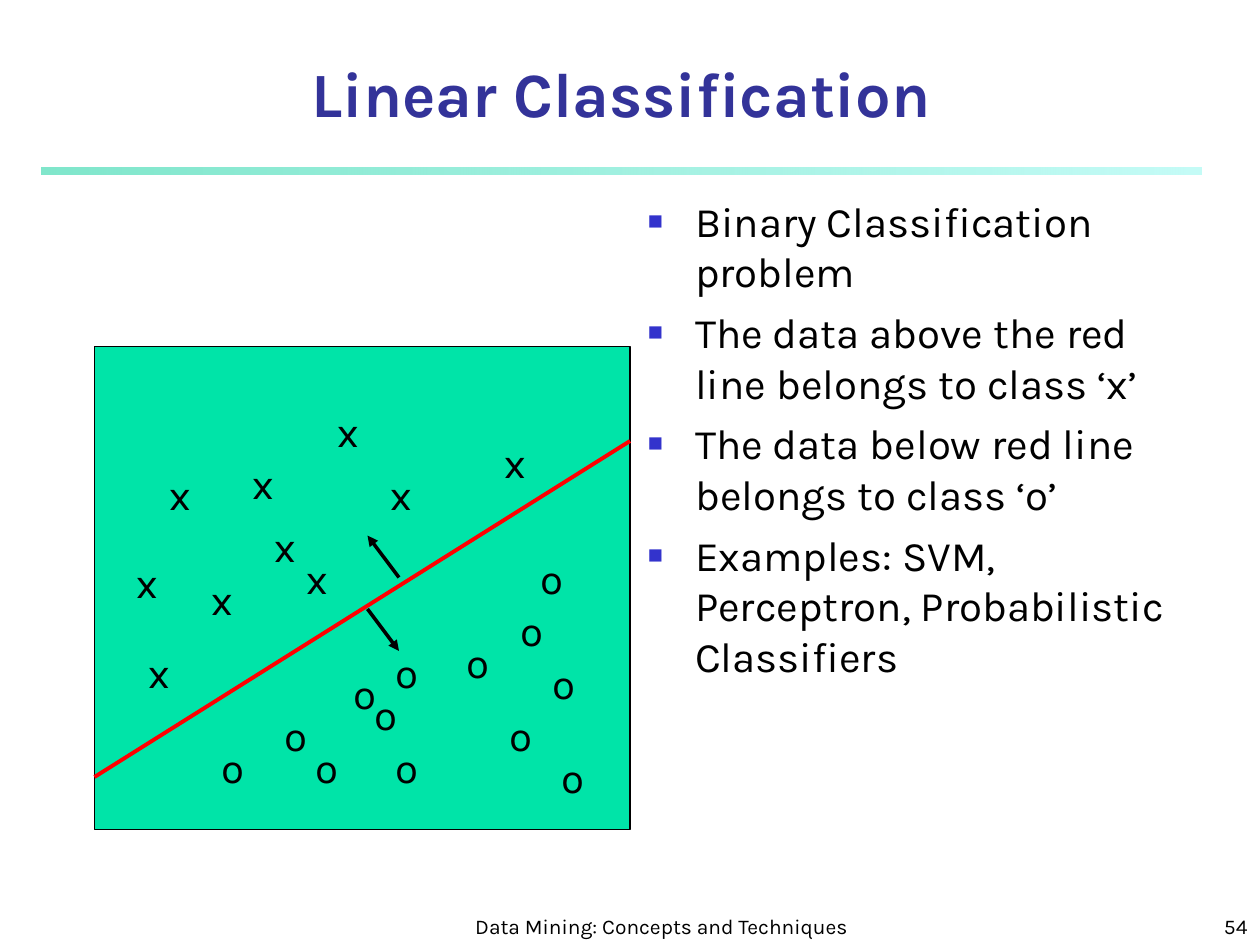
from typing import NamedTuple

from pptx import Presentation
from pptx.dml.color import RGBColor
from pptx.enum.shapes import MSO_CONNECTOR, MSO_SHAPE
from pptx.enum.text import MSO_ANCHOR, MSO_AUTO_SIZE, PP_ALIGN
from pptx.oxml.ns import qn
from pptx.util import Emu, Pt
from lxml.etree import SubElement

PX = 7620  # EMU per px, 120 px to the inch
FONT = "Karla"

BLACK = RGBColor(0x00, 0x00, 0x00)
NAVY = RGBColor(0x33, 0x33, 0x99)
BULLET_BLUE = RGBColor(0x33, 0x33, 0xCC)
RED = RGBColor(0xFF, 0x00, 0x00)
PANEL_GREEN = RGBColor(0x00, 0xE4, 0xA8)
RULE_START = RGBColor(0x00, 0xCE, 0x98)
RULE_END = RGBColor(0x8F, 0xF9, 0xEF)


class Box(NamedTuple):
    left: int
    top: int
    width: int
    height: int

    def emu(self) -> list[Emu]:
        return [Emu(value * PX) for value in self]


class Line(NamedTuple):
    start: tuple[int, int]
    end: tuple[int, int]
    color: RGBColor
    weight: float
    arrow: bool = False


class DataClass(NamedTuple):
    symbol: str
    width: int
    positions: list[tuple[int, int]]


BULLETS = [
    "Binary Classification problem",
    "The data above the red line belongs to class ‘x’",
    "The data below red line belongs to class ‘o’",
    "Examples: SVM, Perceptron, Probabilistic Classifiers",
]
MARK_HEIGHT = 60
DATA_CLASSES = [
    DataClass("x", 44, [
        (118, 524), (469, 410), (229, 430), (280, 520), (360, 440),
        (150, 440), (190, 540), (310, 380), (250, 490), (130, 610),
    ]),
    DataClass("o", 48, [
        (325, 630), (345, 650), (365, 610), (259, 670), (365, 700),
        (473, 670), (503, 520), (433, 600), (199, 700), (289, 700),
        (514, 620), (484, 570), (523, 710),
    ]),
]
BOUNDARY = Line((90, 740), (600, 420), RED, 2.25)
SIDE_ARROWS = [
    Line((380, 550), (350, 510), BLACK, 2, arrow=True),
    Line((350, 580), (380, 620), BLACK, 2, arrow=True),
]


def write_text(shape, *lines: str, size: int = 24, color: RGBColor = BLACK,
               bold: bool = False, align=PP_ALIGN.LEFT,
               anchor=MSO_ANCHOR.TOP, wrap: bool = True, space_before: int = 0):
    """Fill a shape with one paragraph per line, all in the same format."""
    frame = shape.text_frame
    frame.auto_size = MSO_AUTO_SIZE.NONE if wrap else MSO_AUTO_SIZE.SHAPE_TO_FIT_TEXT
    frame.word_wrap = wrap
    frame.vertical_anchor = anchor
    frame.text = "\n".join(lines)
    for paragraph in frame.paragraphs:
        paragraph.alignment = align
        paragraph.space_before = Pt(space_before)
        font = paragraph.runs[0].font
        font.name, font.size, font.bold = FONT, Pt(size), bold
        font.color.rgb = color


def move(shape, box: Box) -> None:
    shape.left, shape.top, shape.width, shape.height = box.emu()


def add_bullet(paragraph, indent: int) -> None:
    properties = paragraph._p.get_or_add_pPr()
    properties.set("marL", str(indent * PX))
    properties.set("indent", str(-indent * PX))
    color = SubElement(properties, qn("a:buClr"))
    SubElement(color, qn("a:srgbClr"), val=str(BULLET_BLUE))
    SubElement(properties, qn("a:buSzPct"), val="60000")
    SubElement(properties, qn("a:buChar"), char="■")


def add_rectangle(slide, box: Box):
    shape = slide.shapes.add_shape(MSO_SHAPE.RECTANGLE, *box.emu())
    shape.shadow.inherit = False
    return shape


def add_gradient_rule(slide, box: Box) -> None:
    rule = add_rectangle(slide, box)
    rule.line.fill.background()
    rule.fill.gradient()
    rule.fill.gradient_angle = 0
    for stop, color in zip(rule.fill.gradient_stops, (RULE_START, RULE_END)):
        stop.color.rgb = color
    for color, alpha in zip(rule._element.spPr.iter(qn("a:srgbClr")), (50000, 52000)):
        SubElement(color, qn("a:alpha"), val=str(alpha))


def add_line(slide, line: Line) -> None:
    ends = [Emu(value * PX) for value in (*line.start, *line.end)]
    connector = slide.shapes.add_connector(MSO_CONNECTOR.STRAIGHT, *ends)
    connector.line.color.rgb = line.color
    connector.line.width = Pt(line.weight)
    if line.arrow:
        SubElement(connector.line._get_or_add_ln(), qn("a:tailEnd"), type="triangle")
    SubElement(connector._element.spPr, qn("a:effectLst"))


def add_text(slide, box: Box, text: str, **text_format) -> None:
    write_text(slide.shapes.add_textbox(*box.emu()), text, **text_format)


def main() -> None:
    presentation = Presentation()
    presentation.slide_width, presentation.slide_height = Emu(1200 * PX), Emu(900 * PX)
    slide = presentation.slides.add_slide(presentation.slide_layouts[1])

    # Title and rule
    title, body = slide.placeholders
    move(title, Box(40, 50, 1103, 80))
    write_text(title, "Linear Classification", size=36, color=NAVY, bold=True,
               align=PP_ALIGN.CENTER, anchor=MSO_ANCHOR.BOTTOM)
    add_gradient_rule(slide, Box(40, 160, 1104, 6))

    # Bullet list
    move(body, Box(605, 180, 545, 670))
    write_text(body, *BULLETS, space_before=6)
    for paragraph in body.text_frame.paragraphs:
        add_bullet(paragraph, indent=45)

    # Scatter panel with its decision boundary
    panel = add_rectangle(slide, Box(90, 330, 510, 460))
    panel.fill.solid()
    panel.fill.fore_color.rgb = PANEL_GREEN
    panel.line.color.rgb = BLACK
    panel.line.width = Pt(0.75)
    add_line(slide, BOUNDARY)

    # Data points of both classes
    for data_class in DATA_CLASSES:
        for left, top in data_class.positions:
            add_text(slide, Box(left, top, data_class.width, MARK_HEIGHT),
                     data_class.symbol, wrap=False)

    # Arrows to either side of the boundary
    for arrow in SIDE_ARROWS:
        add_line(slide, arrow)

    # Footer
    add_text(slide, Box(440, 850, 380, 50), "Data Mining: Concepts and Techniques",
             size=12, align=PP_ALIGN.CENTER, anchor=MSO_ANCHOR.BOTTOM)
    add_text(slide, Box(950, 850, 250, 50), "54",
             size=12, align=PP_ALIGN.RIGHT, anchor=MSO_ANCHOR.BOTTOM)

    presentation.save("out.pptx")


if __name__ == "__main__":
    main()
